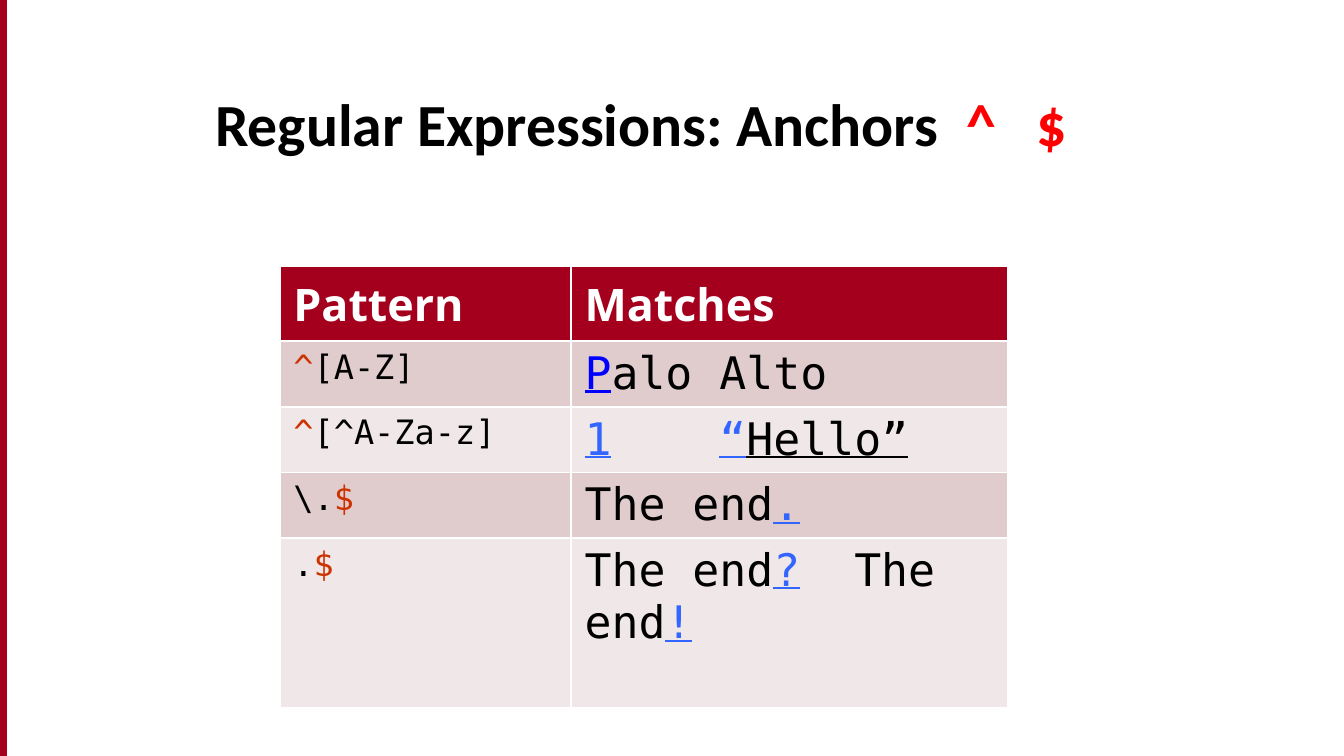
from pptx import Presentation
from pptx.dml.color import RGBColor
from pptx.enum.shapes import MSO_SHAPE as Shape
from pptx.enum.text import MSO_ANCHOR as Anchor, MSO_AUTO_SIZE as Fit, PP_ALIGN as Align
from pptx.util import Cm, Pt

BLACK = RGBColor(0x00, 0x00, 0x00)
WHITE = RGBColor(0xFF, 0xFF, 0xFF)
RED = RGBColor(0xFF, 0x00, 0x00)
WINE = RGBColor(0xA4, 0x00, 0x1D)
RUST = RGBColor(0xCC, 0x33, 0x00)
BLUE = RGBColor(0x00, 0x00, 0xFF)
SKY = RGBColor(0x33, 0x66, 0xFF)
BANDS = RGBColor(0xE0, 0xCC, 0xCD), RGBColor(0xF0, 0xE7, 0xE8)

SANS, HEAD, MONO = "Calibri", "Open Sans", "DejaVu Sans Mono"

# Each cell is a list of (text, colour, underlined) parts
HEADS = "Pattern", "Matches"
ROWS = [
    ([("^", RUST, False), ("[A-Z]", BLACK, False)],
     [("P", BLUE, True), ("alo Alto", BLACK, False)]),
    ([("^", RUST, False), ("[^A-Za-z]", BLACK, False)],
     [("1", SKY, True), ("    ", SKY, False), ("“", SKY, True),
      ("Hello”", BLACK, True)]),
    ([("\\.", BLACK, False), ("$", RUST, False)],
     [("The end", BLACK, False), (".", SKY, True)]),
    ([(".", BLACK, False), ("$", RUST, False)],
     [("The end", BLACK, False), ("?", SKY, True), ("  ", SKY, False),
      ("The end", BLACK, False), ("!", SKY, True)]),
]


def write(para, parts, font, size, bold=False):
    for text, color, line in parts:
        run = para.add_run()
        run.text = text
        run.font.name = font
        run.font.size = Pt(size)
        run.font.bold = bold
        run.font.underline = line
        run.font.color.rgb = color


def add_bar(slide, left, top, width, height):
    bar = slide.shapes.add_shape(Shape.RECTANGLE, left, top, width, height)
    bar.shadow.inherit = False
    bar.fill.solid()
    bar.fill.fore_color.rgb = WINE
    bar.line.color.rgb = WINE
    bar.line.width = Pt(0.75)


def add_title(slide, left, top, width, height):
    title = slide.shapes.title
    title.left, title.top, title.width, title.height = left, top, width, height
    frame = title.text_frame
    frame.auto_size = Fit.NONE
    frame.vertical_anchor = Anchor.BOTTOM
    para = frame.paragraphs[0]
    para.alignment = Align.LEFT
    write(para, [("Regular Expressions: Anchors  ", BLACK, False),
                 ("^   $", RED, False)], SANS, 32, True)


def add_grid(slide, left, top, width, height):
    grid = slide.shapes.add_table(len(ROWS) + 1, 2, left, top, width, height).table

    # Columns share the width 2 : 3, the last row takes the spare height
    grid.columns[0].width = int(width * 0.4)
    grid.columns[1].width = int(width * 0.6)
    sizes = [Cm(1.4)] + [Cm(1.24)] * (len(ROWS) - 1)
    for row, size in zip(grid.rows, sizes + [height - sum(sizes)]):
        row.height = size

    # Header
    for cell, text in zip(grid.rows[0].cells, HEADS):
        cell.fill.solid()
        cell.fill.fore_color.rgb = WINE
        write(cell.text_frame.paragraphs[0], [(text, WHITE, False)], HEAD, 24, True)

    # Patterns and their matches
    for i, row in enumerate(ROWS):
        for cell, parts, size in zip(grid.rows[i + 1].cells, row, (18, 24)):
            cell.fill.solid()
            cell.fill.fore_color.rgb = BANDS[i % 2]
            write(cell.text_frame.paragraphs[0], parts, MONO, size)


def main():
    deck = Presentation()
    deck.slide_width, deck.slide_height = Cm(25.4), Cm(14.29)
    slide = deck.slides.add_slide(deck.slide_layouts[5])
    add_bar(slide, Cm(0), Cm(0), Cm(0.13), deck.slide_height)
    add_title(slide, Cm(3.81), Cm(1.07), Cm(20.75), Cm(2.06))
    add_grid(slide, Cm(5.29), Cm(5.04), Cm(13.76), Cm(8.32))
    deck.save("out.pptx")


if __name__ == "__main__":
    main()
